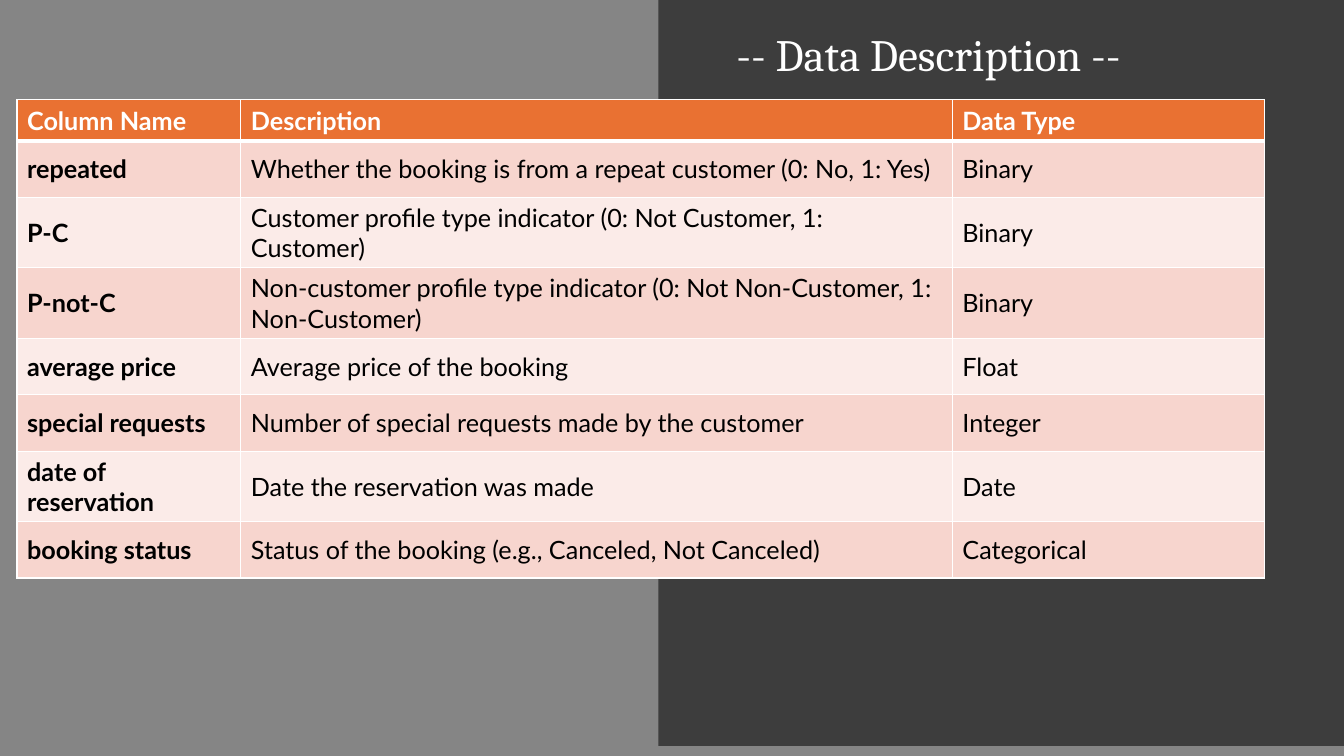
from lxml import etree
from pptx import Presentation
from pptx.dml.color import RGBColor
from pptx.enum.shapes import MSO_SHAPE
from pptx.enum.text import MSO_ANCHOR, PP_ALIGN
from pptx.oxml.ns import qn
from pptx.util import Cm, Pt

RECTANGLE = MSO_SHAPE.RECTANGLE
MIDDLE = MSO_ANCHOR.MIDDLE
LEFT, CENTER = PP_ALIGN.LEFT, PP_ALIGN.CENTER

WIDTH, HEIGHT = 33.87, 19.05
COLORS = {
    "veil": "000000",
    "panel": "0D0D0D",
    "white": "FFFFFF",
    "text": "000000",
    "header": "E97132",
    "odd_row": "F7D5CE",
    "even_row": "FBEBE8",
}

COLUMN_WIDTHS = [5.64, 17.93, 7.87]
HEADER_HEIGHT, ROW_HEIGHT = 1.04, 1.42
DATA_COLUMNS = [
    ("Column Name", "Description", "Data Type"),
    ("repeated", "Whether the booking is from a repeat customer (0: No, 1: Yes)", "Binary"),
    ("P-C", "Customer profile type indicator (0: Not Customer, 1: Customer)", "Binary"),
    ("P-not-C", "Non-customer profile type indicator (0: Not Non-Customer, 1: Non-Customer)", "Binary"),
    ("average price", "Average price of the booking", "Float"),
    ("special requests", "Number of special requests made by the customer", "Integer"),
    ("date of reservation", "Date the reservation was made", "Date"),
    ("booking status", "Status of the booking (e.g., Canceled, Not Canceled)", "Categorical"),
]


def write_text(frame, text, *, size=18, font="Lato", color="text", bold=False, align=LEFT):
    paragraph = frame.paragraphs[0]
    paragraph.alignment = align
    run = paragraph.add_run()
    run.text = text
    run.font.size = Pt(size)
    run.font.name = font
    run.font.bold = bold
    run.font.color.rgb = RGBColor.from_string(COLORS[color])


class SlideBuilder:
    def __init__(self, slide, colors):
        self.slide = slide
        self.colors = colors

    def paint(self, fill, color):
        fill.solid()
        fill.fore_color.rgb = RGBColor.from_string(self.colors[color])

    def veil(self, left, top, width, height, color, opacity):
        """Add a borderless, see-through rectangle; opacity is in percent."""
        area = self.slide.shapes.add_shape(RECTANGLE, Cm(left), Cm(top), Cm(width), Cm(height))
        area.shadow.inherit = False
        area.line.fill.background()
        self.paint(area.fill, color)
        tint = area.fill._xPr.find(qn("a:solidFill"))[0]
        etree.SubElement(tint, qn("a:alpha"), val=str(opacity * 1000))

    def title(self, text, left, top, width, height):
        box = self.slide.shapes.add_textbox(Cm(left), Cm(top), Cm(width), Cm(height))
        box.text_frame.word_wrap = True
        write_text(box.text_frame, text, size=32, font="Cambria", color="white", align=CENTER)

    def border(self, cell, side, points):
        line = etree.SubElement(cell._tc.get_or_add_tcPr(), qn(f"a:ln{side}"), w=str(Pt(points)))
        solid = etree.SubElement(line, qn("a:solidFill"))
        etree.SubElement(solid, qn("a:srgbClr"), val=self.colors["white"])

    def table(self, records, left, top, widths, heights):
        table = self.slide.shapes.add_table(
            len(records), len(widths), Cm(left), Cm(top), Cm(sum(widths)), Cm(sum(heights))
        ).table
        for column, width in zip(table.columns, widths):
            column.width = Cm(width)
        for row, height in zip(table.rows, heights):
            row.height = Cm(height)
        for r, record in enumerate(records):
            is_header = r == 0
            band = "header" if is_header else "odd_row" if r % 2 else "even_row"
            for c, text in enumerate(record):
                cell = table.cell(r, c)
                cell.vertical_anchor = MIDDLE
                # The rule under the header is heavier than the grid
                for side in "LRTB":
                    heavy = (r, side) in ((0, "B"), (1, "T"))
                    self.border(cell, side, 3 if heavy else 1)
                self.paint(cell.fill, band)
                write_text(cell.text_frame, text, bold=is_header or c == 0,
                           color="white" if is_header else "text")


def main():
    deck = Presentation()
    deck.slide_width, deck.slide_height = Cm(WIDTH), Cm(HEIGHT)
    builder = SlideBuilder(deck.slides.add_slide(deck.slide_layouts[6]), COLORS)

    # Grey backdrop and dark right-hand panel
    builder.veil(0, 0, WIDTH, HEIGHT, "veil", 48)
    builder.veil(16.59, 0, WIDTH - 16.59, 18.8, "panel", 60)

    # Title
    builder.title("-- Data Description --", 15.11, 0.56, 16.59, 1.63)

    # Data dictionary
    heights = [HEADER_HEIGHT] + [ROW_HEIGHT] * (len(DATA_COLUMNS) - 1)
    builder.table(DATA_COLUMNS, 0.43, 2.51, COLUMN_WIDTHS, heights)

    deck.save("out.pptx")


if __name__ == "__main__":
    main()
